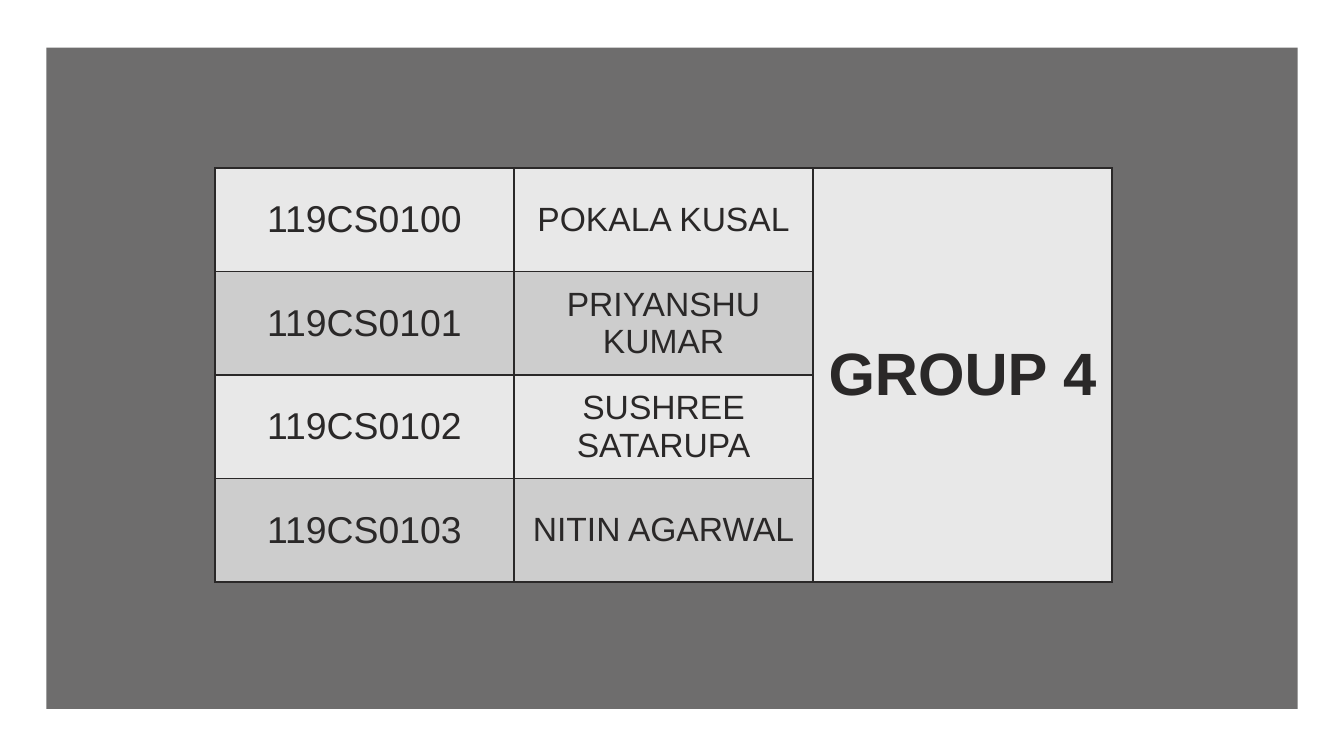
"""Build a slide with a table of the members of a group."""
from dataclasses import dataclass

import pptx
import pptx.dml.color
import pptx.enum.shapes
import pptx.enum.text
import pptx.oxml
import pptx.oxml.ns
import pptx.slide
import pptx.table
import pptx.util

RGBColor = pptx.dml.color.RGBColor
INK = RGBColor(0x2A, 0x28, 0x28)
LIGHT = RGBColor(0xE8, 0xE8, 0xE8)
DARK = RGBColor(0xCD, 0xCD, 0xCD)
WHITE = RGBColor(0xFF, 0xFF, 0xFF)

EMU_PER_PX = 4572
COL_W, ROW_H = 445, 154
NS = pptx.oxml.ns.nsdecls("a")


@dataclass(frozen=True)
class Member:
    roll: str
    name: str


MEMBERS = [
    Member("119CS0100", "POKALA KUSAL"),
    Member("119CS0101", "PRIYANSHU KUMAR"),
    Member("119CS0102", "SUSHREE SATARUPA"),
    Member("119CS0103", "NITIN AGARWAL"),
]


def px(n: int) -> pptx.util.Emu:
    return pptx.util.Emu(n * EMU_PER_PX)


def write(cell: pptx.table._Cell, text: str, *, size: int, bold: bool = False) -> None:
    cell.vertical_anchor = pptx.enum.text.MSO_ANCHOR.MIDDLE
    p = cell.text_frame.paragraphs[0]
    p.alignment = pptx.enum.text.PP_ALIGN.CENTER
    r = p.add_run()
    r.text = text
    r.font.name = "Arial"
    r.font.size = pptx.util.Pt(size)
    r.font.bold = bold
    r.font.color.rgb = INK


def style_cell(cell: pptx.table._Cell, fill: RGBColor) -> None:
    tc_pr = cell._tc.get_or_add_tcPr()
    for side in "LRTB":
        tc_pr.append(pptx.oxml.parse_xml(
            f'<a:ln{side} {NS} w="{pptx.util.Pt(1)}"><a:solidFill>'
            f'<a:srgbClr val="{INK}"/></a:solidFill></a:ln{side}>'))
    cell.fill.solid()
    cell.fill.fore_color.rgb = fill


def add_panel(s: pptx.slide.Slide) -> None:
    sp = s.shapes.add_shape(pptx.enum.shapes.MSO_SHAPE.RECTANGLE,
                            px(69), px(71), px(1862), px(984))
    sp.shadow.inherit = False
    sp.line.fill.background()
    sp.fill.solid()
    sp.fill.fore_color.rgb = INK
    color = sp._element.spPr.find(".//" + pptx.oxml.ns.qn("a:srgbClr"))
    color.append(pptx.oxml.parse_xml(f'<a:alpha {NS} val="68000"/>'))


def add_members(s: pptx.slide.Slide, members: list[Member], group: str) -> None:
    n = len(members)
    table = s.shapes.add_table(n, 3, px(320), px(250), px(3 * COL_W), px(n * ROW_H)).table
    table.first_row = table.horz_banding = False
    for col in table.columns:
        col.width = px(COL_W)
    for i, member in enumerate(members):
        table.rows[i].height = px(ROW_H)
        band = DARK if i % 2 else LIGHT
        for j, fill in enumerate((band, band, LIGHT)):
            style_cell(table.cell(i, j), fill)
        write(table.cell(i, 0), member.roll, size=20)
        write(table.cell(i, 1), member.name, size=18)
    table.cell(0, 2).merge(table.cell(n - 1, 2))
    write(table.cell(0, 2), group, size=32, bold=True)


def main() -> None:
    prs = pptx.Presentation()
    prs.slide_width, prs.slide_height = px(2000), px(1125)
    s = prs.slides.add_slide(prs.slide_layouts[6])
    s.background.fill.solid()
    s.background.fill.fore_color.rgb = WHITE
    add_panel(s)
    add_members(s, MEMBERS, "GROUP 4")
    prs.save("out.pptx")


if __name__ == "__main__":
    main()
